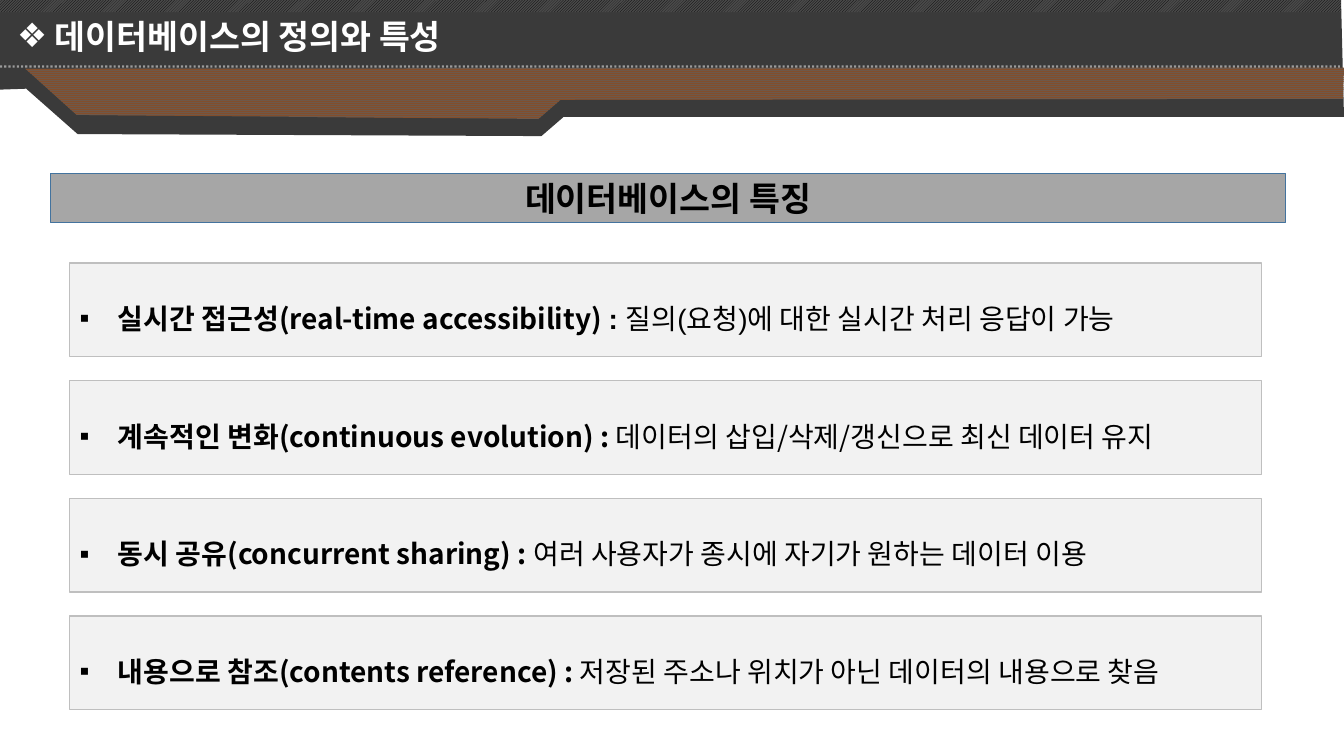
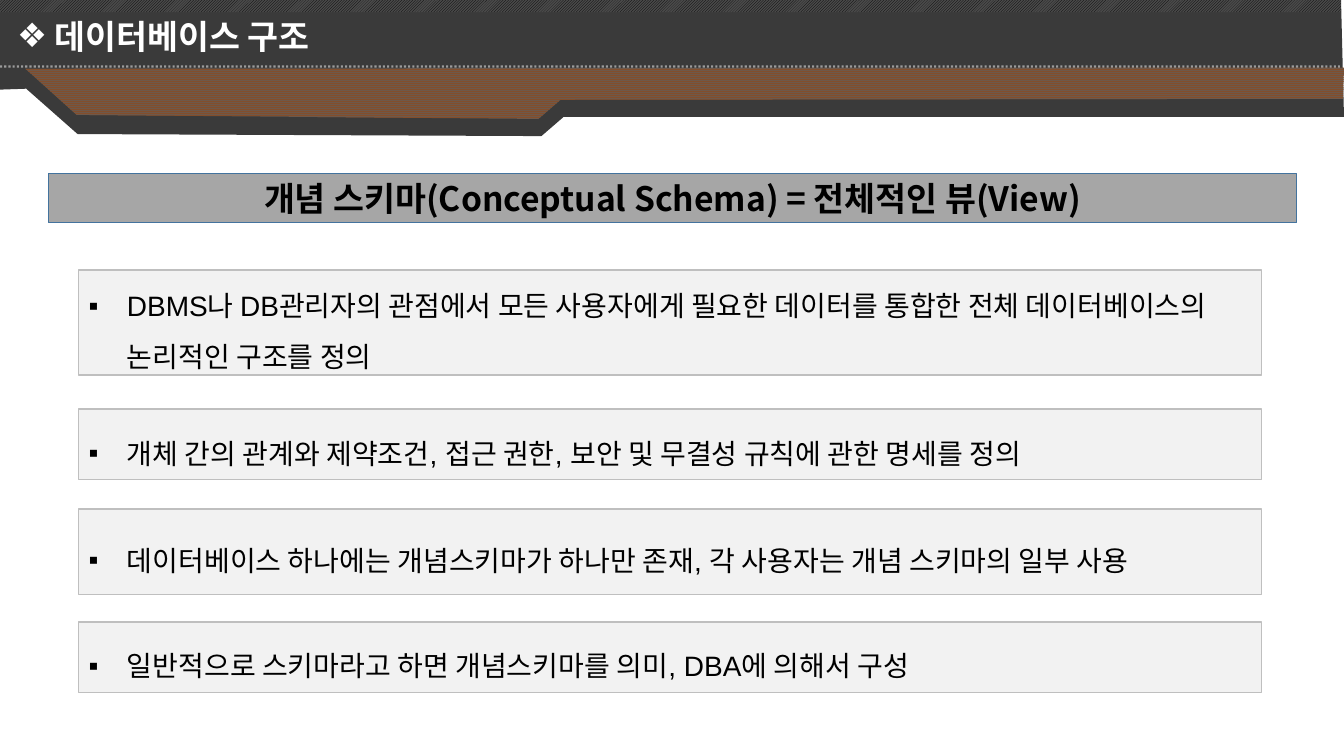
from lxml import etree
from pptx import Presentation
from pptx.dml.color import RGBColor
from pptx.enum.dml import MSO_LINE, MSO_PATTERN
from pptx.enum.shapes import MSO_CONNECTOR, MSO_SHAPE
from pptx.enum.text import MSO_ANCHOR, MSO_AUTO_SIZE, PP_ALIGN
from pptx.oxml.ns import qn
from pptx.util import Inches, Pt

# Content: (text, bold, Latin font) runs for each box
SANS = "Noto Sans CJK KR"
ARIAL = "Arial"
SLIDES = [
    {
        "title": "데이터베이스의 정의와 특성",
        "heading": "데이터베이스의 특징",
        "heading_span": (0.5, 12.25),
        "box_span": (0.69, 11.82),
        "rows": [(2.61 + 1.167 * i, 0.93) for i in range(4)],
        "items": [
            [("실시간 접근성(real-time accessibility) ", True, SANS),
             (": ", True, ARIAL),
             ("질의(요청)에 대한 실시간 처리 응답이 가능", False, ARIAL)],
            [("계속적인 변화(continuous evolution) : ", True, SANS),
             ("데이터의 삽입/삭제/갱신으로 최신 데이터 유지", False, SANS)],
            [("동시 공유(concurrent sharing) : ", True, SANS),
             ("여러 사용자가 종시에 자기가 원하는 데이터 이용", False, SANS)],
            [("내용으로 참조(contents reference) : ", True, SANS),
             ("저장된 주소나 위치가 아닌 데이터의 내용으로 찾음", False, SANS)],
        ],
    },
    {
        "title": "데이터베이스 구조",
        "heading": "개념 스키마(Conceptual Schema) = 전체적인 뷰(View)",
        "heading_span": (0.48, 12.38),
        "box_span": (0.78, 11.73),
        "rows": [(2.68, 1.04), (4.06, 0.7), (5.05, 0.85), (6.17, 0.7)],
        "items": [
            [("DBMS나 DB관리자의 관점에서 모든 사용자에게 필요한 데이터를 통합한 "
              "전체 데이터베이스의 논리적인 구조를 정의", False, ARIAL)],
            [("개체 간의 관계와 제약조건, 접근 권한, 보안 및 무결성 규칙에 관한 "
              "명세를 정의", False, ARIAL)],
            [("데이터베이스 하나에는 개념스키마가 하나만 존재, 각 사용자는 개념 "
              "스키마의 일부 사용", False, ARIAL)],
            [("일반적으로 스키마라고 하면 개념스키마를 의미, DBA에 의해서 구성",
              False, ARIAL)],
        ],
    },
]

# Shared look
BLACK = RGBColor(0x00, 0x00, 0x00)
WHITE = RGBColor(0xFF, 0xFF, 0xFF)
CHARCOAL = RGBColor(0x3A, 0x3A, 0x3A)
STRIP_GRAY = RGBColor(0x4A, 0x4A, 0x4A)
BAND_ORANGE = RGBColor(0x82, 0x4E, 0x2C)
BAND_BROWN = RGBColor(0x6E, 0x58, 0x4A)
HEADING_GRAY = RGBColor(0xA6, 0xA6, 0xA6)
HEADING_BLUE = RGBColor(0x43, 0x73, 0x9E)
BOX_GRAY = RGBColor(0xF2, 0xF2, 0xF2)
BOX_EDGE = RGBColor(0xBF, 0xBF, 0xBF)
RECTANGLE = MSO_SHAPE.RECTANGLE
BANNER = [(-0.02, -0.02), (13.3, -0.03), (13.33, 1.16), (5.59, 1.16),
          (5.37, 1.35), (0.77, 1.33), (0.26, 0.88), (-0.02, 0.89)]
BAND = [(0.25, 0.68), (0.76, 1.14), (5.34, 1.18), (5.56, 0.99),
        (13.32, 0.98), (13.33, 0.67)]


def add_child(parent, tag, **attributes):
    return etree.SubElement(parent, qn(tag), attributes)


def set_bullet(para, mark, indent):
    props = para._p.get_or_add_pPr()
    props.set("marL", str(Inches(indent)))
    props.set("indent", str(-Inches(indent)))
    add_child(props, "a:buFont", typeface=ARIAL)
    add_child(props, "a:buChar", char=mark)


def set_font(font, size, color, bold, name=SANS):
    font.size, font.bold, font.name = Pt(size), bold, name
    font.color.rgb = color
    add_child(font._rPr, "a:ea", typeface=SANS)


def add_text_shadow(font):
    effects = etree.Element(qn("a:effectLst"))
    shadow = add_child(effects, "a:outerShdw", blurRad="38100", dist="38100",
                       dir="2700000", algn="tl")
    add_child(shadow, "a:srgbClr", val="000000")
    font._rPr.find(qn("a:solidFill")).addnext(effects)


def set_pattern(shape, pattern, front, back):
    shape.fill.patterned()
    shape.fill.pattern = pattern
    shape.fill.fore_color.rgb = front
    shape.fill.back_color.rgb = back


def add_outline(slide, points):
    corners = [(Inches(x), Inches(y)) for x, y in points]
    builder = slide.shapes.build_freeform(*corners[0])
    builder.add_line_segments(corners[1:], close=True)
    shape = builder.convert_to_shape()
    shape.shadow.inherit = False
    shape.line.fill.background()
    return shape


def add_box(slide, left, top, width, height, fill, edge):
    box = slide.shapes.add_shape(RECTANGLE, Inches(left), Inches(top),
                                 Inches(width), Inches(height))
    box.shadow.inherit = False
    box.fill.solid()
    box.fill.fore_color.rgb = fill
    box.line.color.rgb = edge
    box.line.width = Pt(1)
    box.text_frame.word_wrap = True
    box.text_frame.vertical_anchor = MSO_ANCHOR.MIDDLE
    return box


def add_header(slide, text):
    # Dark banner, hatched strip and brown band
    banner = add_outline(slide, BANNER)
    banner.fill.solid()
    banner.fill.fore_color.rgb = CHARCOAL
    strip = slide.shapes.add_shape(RECTANGLE, Inches(-0.03), 0,
                                   Inches(13.33), Inches(0.12))
    strip.shadow.inherit = False
    strip.line.fill.background()
    set_pattern(strip, MSO_PATTERN.LIGHT_UPWARD_DIAGONAL, BLACK, STRIP_GRAY)
    band = add_outline(slide, BAND)
    set_pattern(band, MSO_PATTERN.NARROW_HORIZONTAL, BAND_ORANGE, BAND_BROWN)

    # Half-transparent dotted rule
    rule = slide.shapes.add_connector(MSO_CONNECTOR.STRAIGHT, 0, Inches(0.66),
                                      Inches(13.29), Inches(0.66))
    rule.line.color.rgb = WHITE
    rule.line.width = Pt(1.5)
    rule.line.dash_style = MSO_LINE.ROUND_DOT
    rule_props = rule._element.spPr
    add_child(next(rule_props.iter(qn("a:srgbClr"))), "a:alpha", val="50000")
    add_child(rule_props, "a:effectLst")

    # Title, brought in front of the banner
    title = slide.shapes.title
    title._element.getparent().append(title._element)
    title.left, title.top = Inches(0.07), Inches(0.11)
    title.width, title.height = Inches(6.59), Inches(0.5)
    frame = title.text_frame
    frame.text = text
    frame.word_wrap = True
    frame.auto_size = MSO_AUTO_SIZE.NONE
    frame.vertical_anchor = MSO_ANCHOR.TOP
    para = frame.paragraphs[0]
    para.alignment = PP_ALIGN.LEFT
    set_bullet(para, "❖", 0.37)
    set_font(para.font, 24, WHITE, True)
    add_text_shadow(para.font)


def add_heading(slide, text, left, width):
    box = add_box(slide, left, 1.72, width, 0.49, HEADING_GRAY, HEADING_BLUE)
    para = box.text_frame.paragraphs[0]
    para.text = text
    para.alignment = PP_ALIGN.CENTER
    set_font(para.font, 24, BLACK, True)


def add_item(slide, runs, left, top, width, height):
    box = add_box(slide, left, top, width, height, BOX_GRAY, BOX_EDGE)
    para = box.text_frame.paragraphs[0]
    para.alignment = PP_ALIGN.LEFT
    para.line_spacing = 1.5
    set_bullet(para, "▪", 0.38)
    set_font(para.font, 20, BLACK, False, runs[0][2])
    for text, bold, name in runs:
        span = para.add_run()
        span.text = text
        span.font.bold = bold
        span.font.name = name


def main():
    deck = Presentation()
    deck.slide_width, deck.slide_height = Inches(13.33), Inches(7.5)
    title_only = deck.slide_layouts[5]
    for page in SLIDES:
        slide = deck.slides.add_slide(title_only)
        add_header(slide, page["title"])
        add_heading(slide, page["heading"], *page["heading_span"])
        left, width = page["box_span"]
        for runs, (top, height) in zip(page["items"], page["rows"]):
            add_item(slide, runs, left, top, width, height)
    deck.save("out.pptx")


if __name__ == "__main__":
    main()
